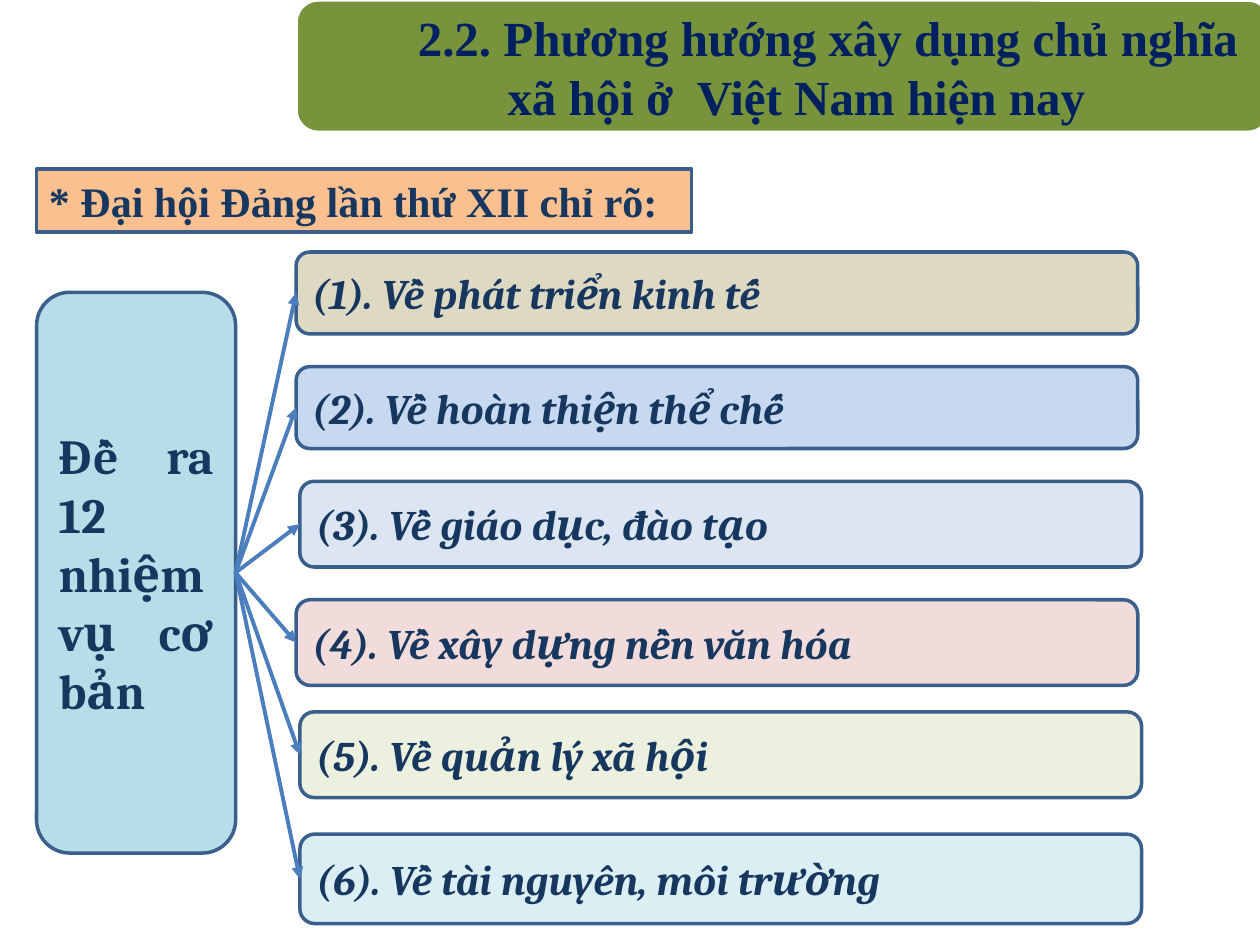
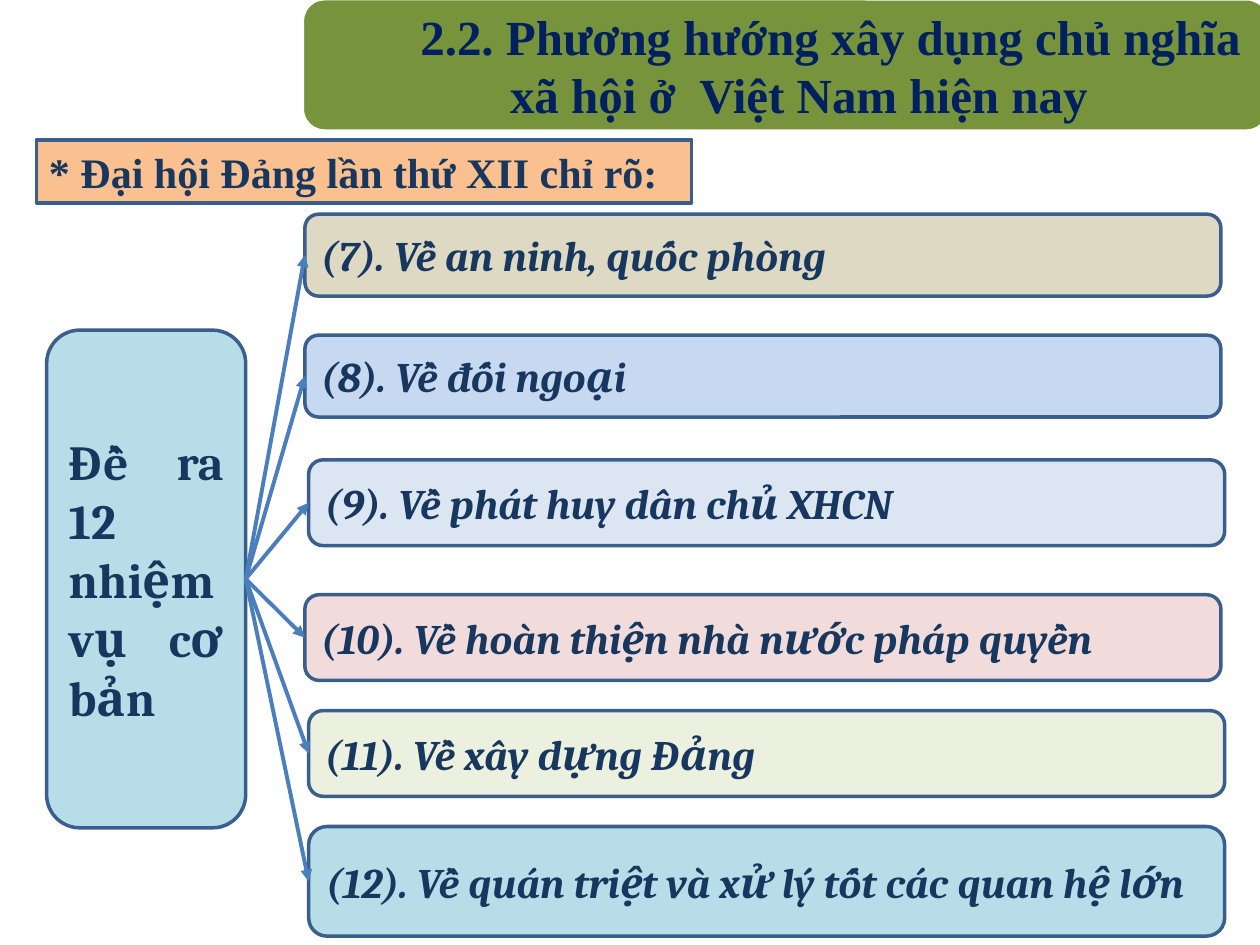
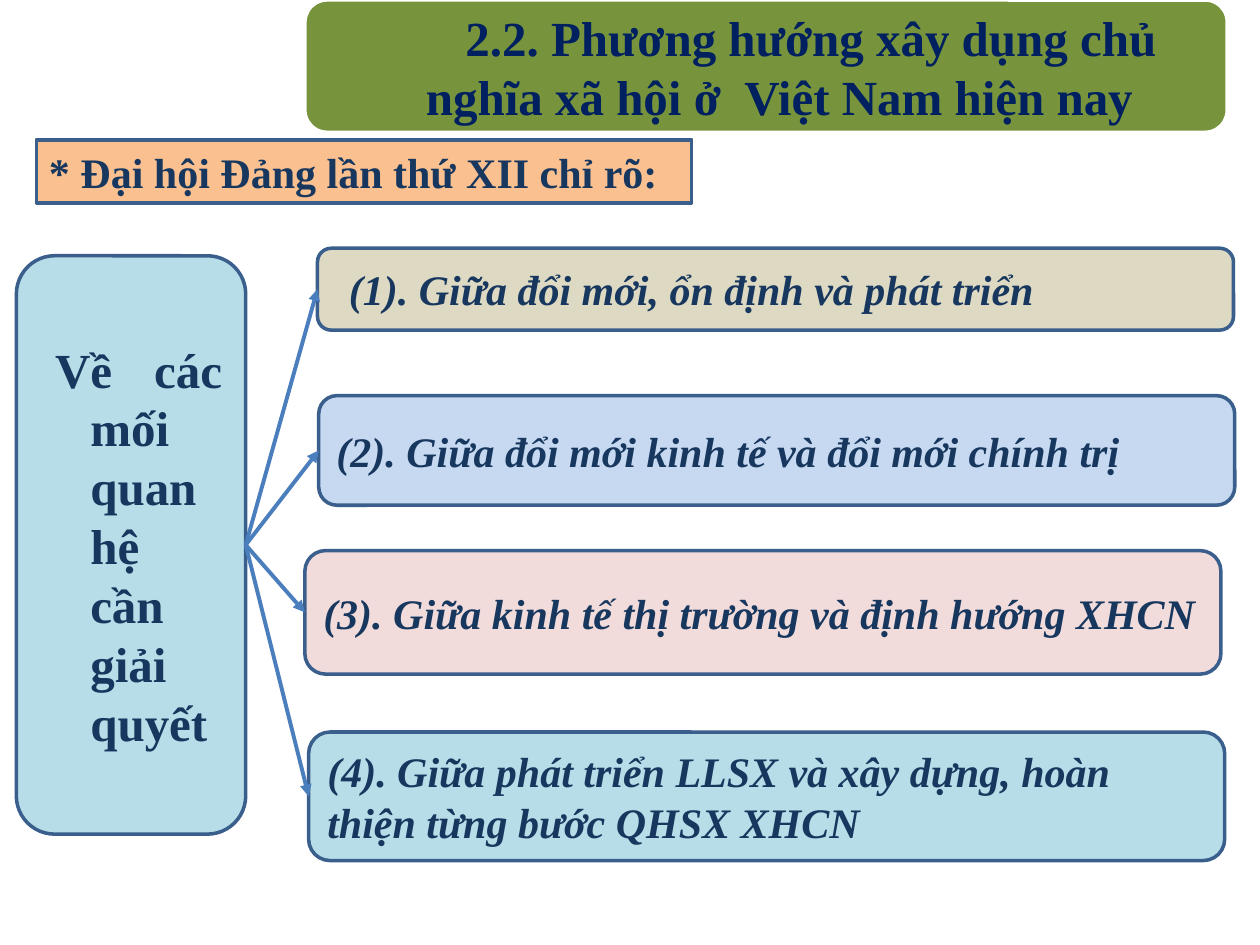
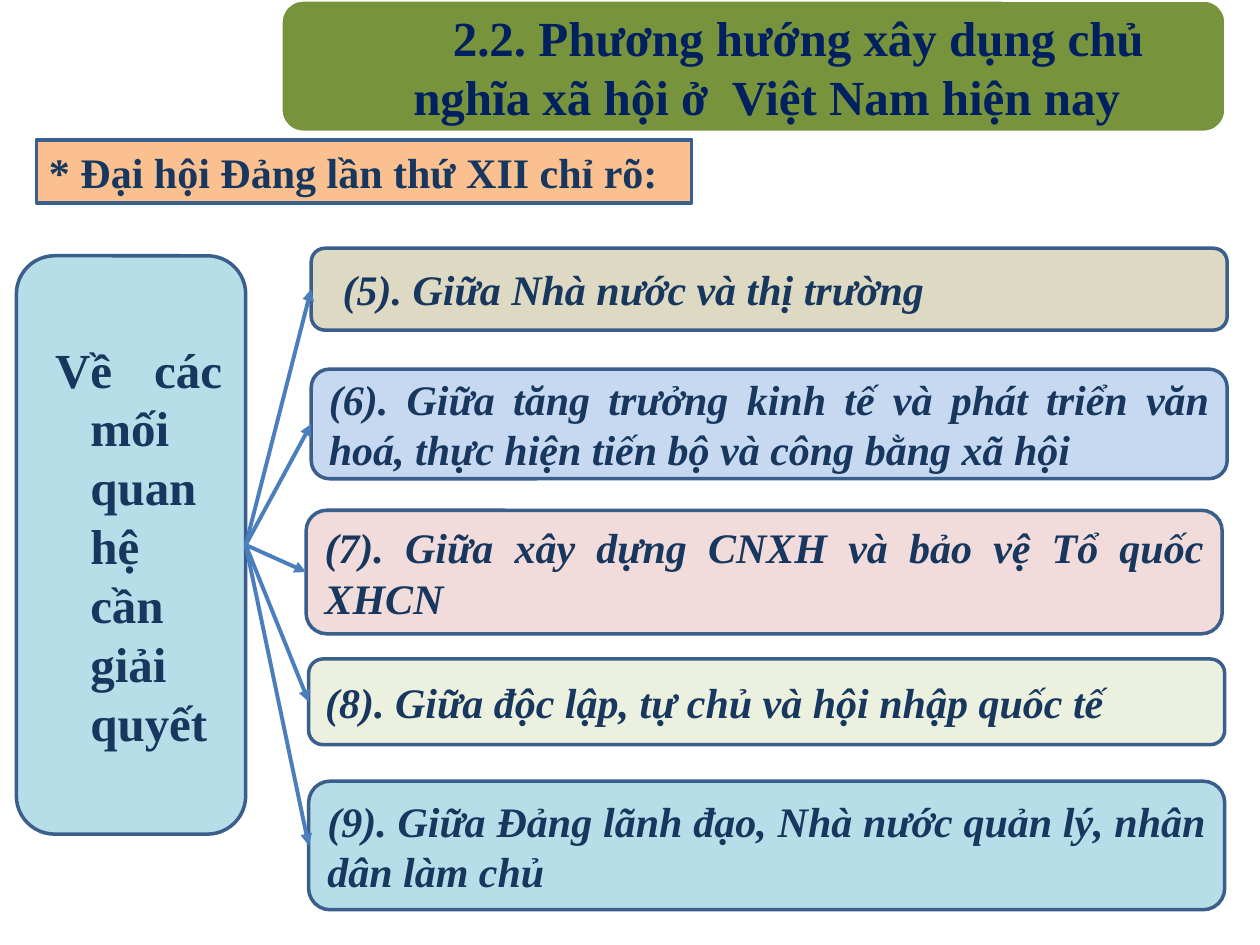
from dataclasses import dataclass

from lxml import etree
from pptx import Presentation
from pptx.dml.color import RGBColor
from pptx.enum.shapes import MSO_CONNECTOR, MSO_SHAPE
from pptx.enum.text import MSO_ANCHOR, MSO_AUTO_SIZE, PP_ALIGN
from pptx.oxml.ns import qn
from pptx.util import Inches, Pt

TITLE = "2.2. Phương hướng xây dụng chủ nghĩa xã hội ở  Việt Nam hiện nay"
CONGRESS = "* Đại hội Đảng lần thứ XII chỉ rõ:"
TASKS = "Đề ra 12 nhiệm vụ cơ bản"
RELATIONS = "Về các mối quan hệ cần giải quyết"

SERIF, CAMBRIA = "Times New Roman", "Cambria"
GREEN, WHITE, NAVY, INK = "77933C", "FFFFFF", "002060", "17375E"
OUTLINE, ARROW, ORANGE = "3A5F8C", "4B7EBC", "FAC090"
TAN, BLUE, PALE, ROSE = "DDD9C3", "C6D9F1", "DCE6F2", "F2DCDB"
LIME, ICE, AQUA = "EBF1DE", "DBEEF4", "B7DEE8"


@dataclass
class Box:
    """A place on the slide, in inches."""
    left: float
    top: float
    width: float
    height: float

    def lengths(self):
        """Return left, top, width and height as lengths."""
        return [Inches(v) for v in (self.left, self.top, self.width, self.height)]


@dataclass
class Page:
    """The content of one slide; items are text, left, top, height and fill."""
    band: Box
    congress_top: float
    topic: str
    topic_box: Box
    item_width: float
    items: list
    font: str = CAMBRIA
    align: PP_ALIGN = PP_ALIGN.JUSTIFY
    topic_indent: tuple = (0, 0)
    first_margin: float = 0


def rgb(value):
    """Turn a hex string into a colour."""
    return RGBColor.from_string(value)


def add_block(slide, kind, box, fill, line=OUTLINE):
    """Add a filled and outlined shape without a shadow."""
    block = slide.shapes.add_shape(kind, *box.lengths())
    block.shadow.inherit = False
    block.fill.solid()
    block.fill.fore_color.rgb = rgb(fill)
    block.line.color.rgb = rgb(line)
    block.line.width = Pt(2)
    return block


def write(shape, text, size, font, color=INK, align=PP_ALIGN.JUSTIFY,
          italic=None, margin=0, indent=0, anchor=MSO_ANCHOR.MIDDLE):
    """Put one bold paragraph into a shape."""
    frame = shape.text_frame
    frame.word_wrap = True
    frame.vertical_anchor = anchor
    frame.text = text
    paragraph = frame.paragraphs[0]
    paragraph.alignment = align
    properties = paragraph._p.get_or_add_pPr()
    properties.set("marL", str(Inches(margin)))
    properties.set("indent", str(Inches(indent)))
    paragraph.font.name = font
    paragraph.font.size = Pt(size)
    paragraph.font.bold = True
    paragraph.font.italic = italic
    paragraph.font.color.rgb = rgb(color)


def add_title(slide, box):
    """Lay the title placeholder over a green band."""
    band = add_block(slide, MSO_SHAPE.ROUNDED_RECTANGLE, box, GREEN, WHITE)
    title = slide.shapes.title
    band.element.addnext(title.element)
    place = Box(box.left + 0.15, box.top + 0.05, box.width - 0.09, 0.95)
    title.left, title.top, title.width, title.height = place.lengths()
    write(title, TITLE, 28, SERIF, NAVY, PP_ALIGN.CENTER, indent=0.5)
    frame = title.text_frame
    frame.auto_size = MSO_AUTO_SIZE.NONE
    frame.margin_left = frame.margin_right = Inches(0.24)
    frame.margin_top = frame.margin_bottom = 0


def add_congress(slide, box):
    """Add the orange line that names the congress."""
    congress = add_block(slide, MSO_SHAPE.RECTANGLE, box, ORANGE)
    write(congress, CONGRESS, 24, SERIF, anchor=MSO_ANCHOR.TOP)
    congress.text_frame.auto_size = MSO_AUTO_SIZE.SHAPE_TO_FIT_TEXT


def add_arrow(slide, topic, item):
    """Join the right of the topic to the left of an item."""
    arrow = slide.shapes.add_connector(MSO_CONNECTOR.STRAIGHT, 0, 0, 0, 0)
    arrow.begin_connect(topic, 3)
    arrow.end_connect(item, 1)
    arrow.line.color.rgb = rgb(ARROW)
    arrow.line.width = Pt(2.25)
    etree.SubElement(arrow.line._get_or_add_ln(), qn("a:tailEnd"), type="triangle")
    etree.SubElement(arrow.element.spPr, qn("a:effectLst"))


def add_fan(slide, page):
    """Add the topic, its items and the arrows between them."""
    rounded = MSO_SHAPE.ROUNDED_RECTANGLE
    topic = add_block(slide, rounded, page.topic_box, AQUA)
    margin, indent = page.topic_indent
    write(topic, page.topic, 28, page.font, margin=margin, indent=indent)
    items = []
    for number, (text, left, top, height, fill) in enumerate(page.items):
        item = add_block(slide, rounded, Box(left, top, page.item_width, height), fill)
        write(item, text, 24, page.font, align=page.align, italic=True,
              margin=0 if number else page.first_margin)
        items.append(item)
    for item in items:
        add_arrow(slide, topic, item)


def add_page(deck, page):
    """Add one slide with title, congress line and fan."""
    slide = deck.slides.add_slide(deck.slide_layouts[5])
    add_title(slide, page.band)
    add_congress(slide, Box(0.29, page.congress_top, 5.2, 0.5))
    add_fan(slide, page)


RELATION_STYLE = dict(font=SERIF, topic_indent=(0.4, -0.28), first_margin=0.12)
RELATION_BOX = Box(0.13, 2.03, 1.82, 4.59)

PAGES = [
    Page(Box(2.35, 0, 7.73, 1.05), 1.34, TASKS, Box(0.29, 2.32, 1.58, 4.45), 6.68, [
        ("(1). Về phát triển kinh tế", 2.35, 2, 0.65, TAN),
        ("(2). Về hoàn thiện thể chế", 2.35, 2.91, 0.65, BLUE),
        ("(3). Về giáo dục, đào tạo", 2.38, 3.82, 0.68, PALE),
        ("(4). Về xây dựng nền văn hóa", 2.35, 4.76, 0.68, ROSE),
        ("(5). Về quản lý xã hội", 2.38, 5.65, 0.68, LIME),
        ("(6). Về tài nguyên, môi trường", 2.38, 6.62, 0.71, ICE),
    ]),
    Page(Box(2.4, -0.01, 7.67, 1.05), 1.11, TASKS, Box(0.37, 2.62, 1.58, 3.95), 7.27, [
        ("(7). Về an ninh, quốc phòng", 2.42, 1.7, 0.65, TAN),
        ("(8). Về đối ngoại", 2.42, 2.66, 0.65, BLUE),
        ("(9). Về phát huy dân chủ XHCN", 2.45, 3.65, 0.68, PALE),
        ("(10). Về hoàn thiện nhà nước pháp quyền", 2.42, 4.72, 0.68, ROSE),
        ("(11). Về xây dựng Đảng", 2.45, 5.64, 0.68, LIME),
        ("(12). Về quán triệt và xử lý tốt các quan hệ lớn", 2.45, 6.56, 0.87, AQUA),
    ]),
    Page(Box(2.42, 0, 7.32, 1.05), 1.11, RELATIONS, RELATION_BOX, 7.27, [
        ("(1). Giữa đổi mới, ổn định và phát triển", 2.52, 1.97, 0.65, TAN),
        ("(2). Giữa đổi mới kinh tế và đổi mới chính trị", 2.53, 3.14, 0.87, BLUE),
        ("(3). Giữa kinh tế thị trường và định hướng XHCN", 2.42, 4.37, 0.98, ROSE),
        ("(4). Giữa phát triển LLSX và xây dựng, hoàn thiện từng bước QHSX XHCN",
         2.45, 5.81, 1.02, AQUA),
    ], align=PP_ALIGN.LEFT, **RELATION_STYLE),
    Page(Box(2.23, 0, 7.5, 1.05), 1.11, RELATIONS, RELATION_BOX, 7.27, [
        ("(5). Giữa Nhà nước và thị trường", 2.47, 1.97, 0.65, TAN),
        ("(6). Giữa tăng trưởng kinh tế và phát triển văn hoá, "
         "thực hiện tiến bộ và công bằng xã hội", 2.47, 2.93, 0.87, BLUE),
        ("(7). Giữa xây dựng CNXH và bảo vệ Tổ quốc XHCN", 2.43, 4.05, 0.98, ROSE),
        ("(8). Giữa độc lập, tự chủ và hội nhập quốc tế", 2.45, 5.23, 0.68, LIME),
        ("(9). Giữa Đảng lãnh đạo, Nhà nước quản lý, nhân dân làm chủ",
         2.45, 6.2, 1.02, AQUA),
    ], **RELATION_STYLE),
]


def main():
    """Build the deck and save it."""
    deck = Presentation()
    deck.slide_width, deck.slide_height = Inches(10), Inches(7.5)
    for page in PAGES:
        add_page(deck, page)
    deck.save("out.pptx")


if __name__ == "__main__":
    main()
